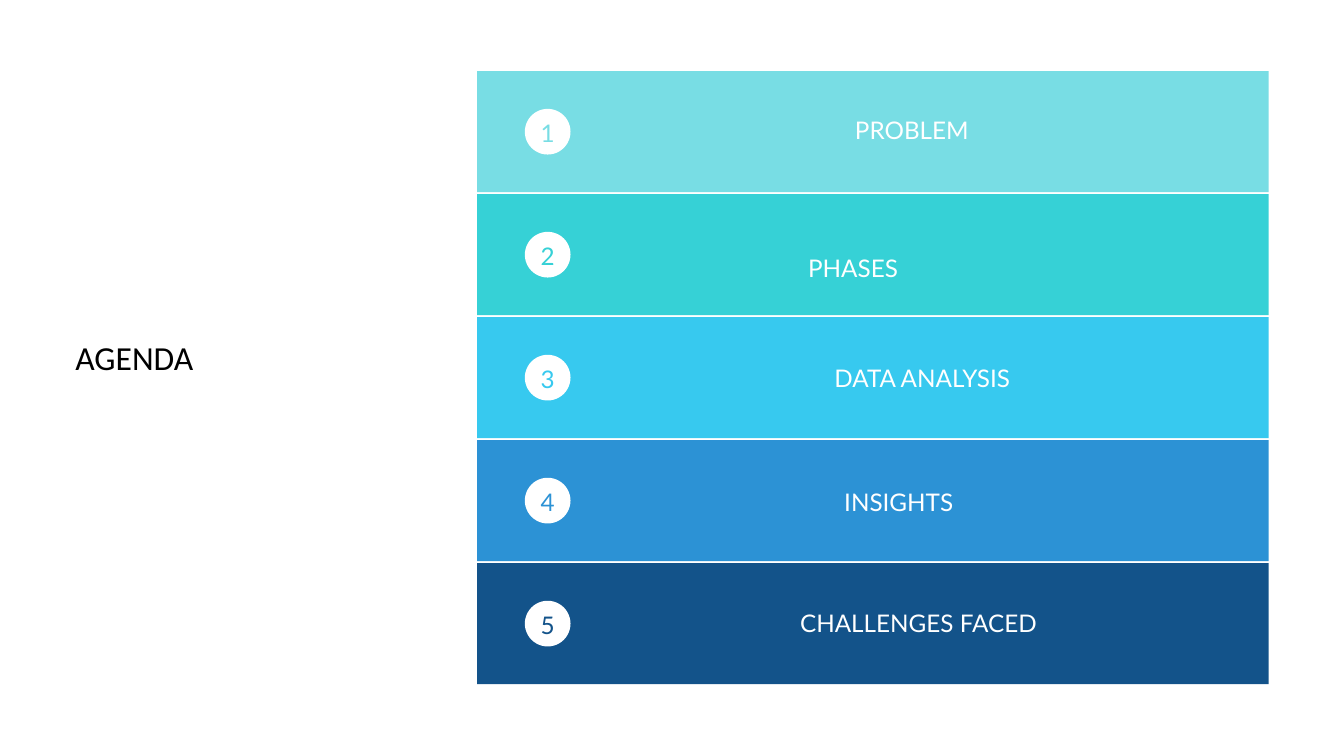
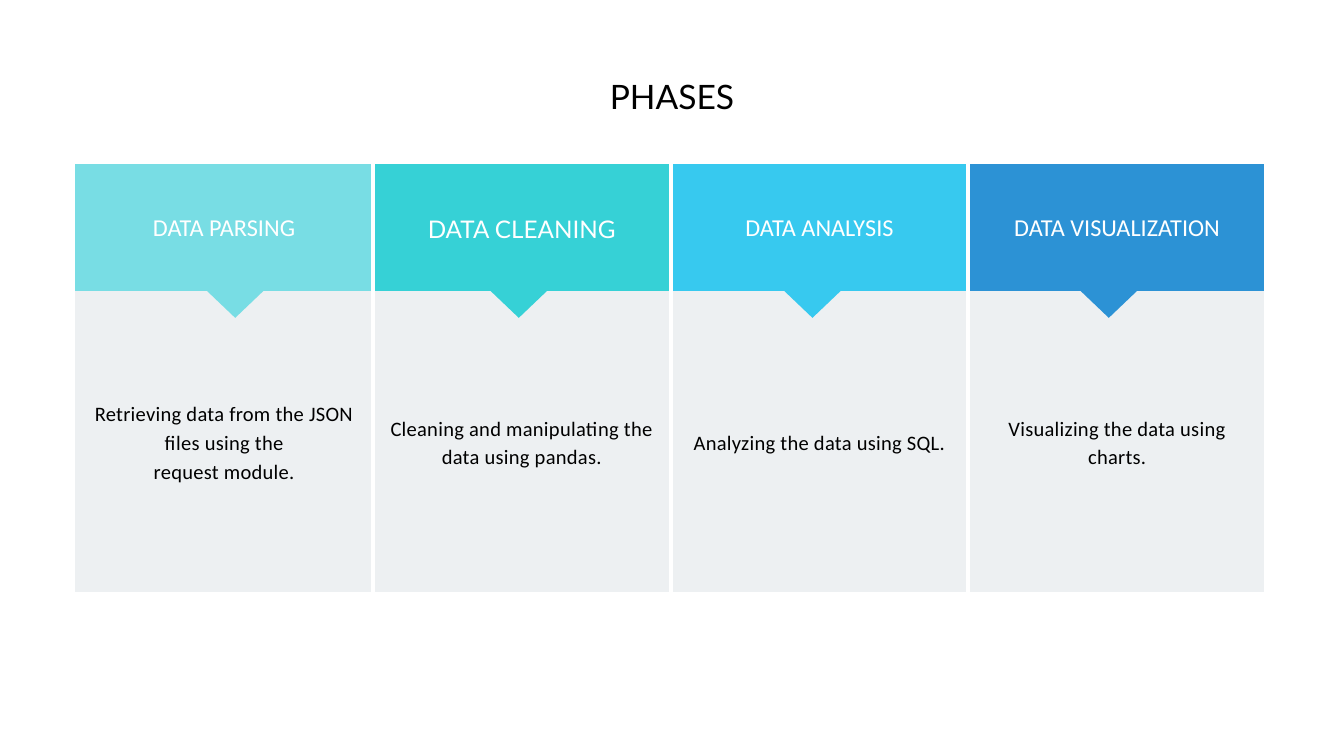
from dataclasses import dataclass

from lxml.etree import SubElement
from pptx import Presentation
from pptx.dml.color import RGBColor
from pptx.enum.shapes import MSO_SHAPE
from pptx.enum.text import MSO_ANCHOR, MSO_AUTO_SIZE, PP_ALIGN
from pptx.oxml.ns import qn
from pptx.util import Inches, Pt

WHITE = RGBColor(0xFF, 0xFF, 0xFF)
BLACK = RGBColor(0x00, 0x00, 0x00)
PALE_GREY = RGBColor(0xED, 0xF0, 0xF2)
AQUA = RGBColor(0x78, 0xDD, 0xE4)
TURQUOISE = RGBColor(0x36, 0xD1, 0xD6)
SKY = RGBColor(0x37, 0xC9, 0xEF)
BLUE = RGBColor(0x2C, 0x92, 0xD5)
NAVY = RGBColor(0x13, 0x53, 0x8A)

BAND_LEFT, BAND_TOP, BAND_PITCH = 7.1, 1.06, 1.83
BAND_WIDTH, BAND_HEIGHT = 11.78, 1.8
TABLE_LEFT, TABLE_TOP = 1.12, 2.44
COLUMN_WIDTH, ROW_HEIGHTS = 4.43, (1.89, 4.48)
DIVIDER = Pt(5.25)
CELL_INSET = Inches(0.21)


@dataclass(frozen=True)
class TextStyle:
    size: float
    spacing: float
    color: RGBColor
    font: str = "Lato"
    align: PP_ALIGN = PP_ALIGN.CENTER
    tracking: int = 0


@dataclass(frozen=True)
class AgendaItem:
    label: str
    color: RGBColor
    left: float
    top: float
    width: float
    indent: float = 0
    drop: float = 0


@dataclass(frozen=True)
class Phase:
    name: str
    color: RGBColor
    lines: tuple[str, ...]
    pointer_left: float
    font: str = "Calibri"


AGENDA = (
    AgendaItem("PROBLEM", AQUA, 9.12, 0.23, 7.15, indent=1.75),
    AgendaItem("PHASES", TURQUOISE, 11.01, 2.06, 3.37, drop=0.43),
    AgendaItem("DATA ANALYSIS", SKY, 10, 3.92, 5.61, indent=1.84),
    AgendaItem("INSIGHTS", BLUE, 11.69, 5.55, 3.37, drop=0.43),
    AgendaItem("CHALLENGES FACED", NAVY, 9.42, 7.56, 6.67, indent=1.83),
)
PHASES = (
    Phase("DATA PARSING", AQUA,
          ("Retrieving data from the JSON files using the", "request module."), 3.07),
    Phase("DATA CLEANING", TURQUOISE,
          ("Cleaning and manipulating the data using pandas.",), 7.29, "Lato"),
    Phase("DATA ANALYSIS", SKY, ("Analyzing the data using SQL.",), 11.66),
    Phase("DATA VISUALIZATION", BLUE, ("Visualizing the data using charts.",), 16.07),
)


def write(frame, lines, style: TextStyle) -> None:
    for index, line in enumerate(lines):
        para = frame.paragraphs[0] if index == 0 else frame.add_paragraph()
        para.alignment = style.align
        para.line_spacing = Pt(style.spacing)
        span = para.add_run()
        span.text = line
        for name, value in {"name": style.font, "size": Pt(style.size)}.items():
            setattr(span.font, name, value)
        span.font.color.rgb = style.color
        if style.tracking:
            span.font._element.set("spc", str(style.tracking))


def add_text(page, text: str, area, style: TextStyle, insets=(0, 0, 0, 0),
             anchor=MSO_ANCHOR.MIDDLE, auto_size=MSO_AUTO_SIZE.NONE) -> None:
    """Add a text box; insets run left, top, right, bottom, in inches."""
    frame = page.shapes.add_textbox(*map(Inches, area)).text_frame
    sides = ("margin_left", "margin_top", "margin_right", "margin_bottom")
    settings = dict(zip(sides, map(Inches, insets)))
    settings |= {"word_wrap": True, "auto_size": auto_size, "vertical_anchor": anchor}
    for name, value in settings.items():
        setattr(frame, name, value)
    write(frame, [text], style)


def add_title(page, text: str, area, font: str, align: PP_ALIGN) -> None:
    add_text(page, text, area, TextStyle(36, 46.8, BLACK, font, align),
             anchor=MSO_ANCHOR.TOP, auto_size=MSO_AUTO_SIZE.SHAPE_TO_FIT_TEXT)


def add_solid(page, kind: MSO_SHAPE, area, color: RGBColor):
    shape = page.shapes.add_shape(kind, *map(Inches, area))
    shape.shadow.inherit = False
    shape.fill.solid()
    shape.fill.fore_color.rgb = color
    shape.line.fill.background()
    return shape


def set_borders(cell, left: bool) -> None:
    """Draw white dividers at the sides and nothing above or below."""
    properties = cell._tc.get_or_add_tcPr()
    for tag, shown in {"lnL": left, "lnR": True, "lnT": False, "lnB": False}.items():
        line = SubElement(properties, qn(f"a:{tag}"), w=str(DIVIDER if shown else 0))
        if shown:
            fill = SubElement(line, qn("a:solidFill"))
            SubElement(fill, qn("a:srgbClr"), val=str(WHITE))
        else:
            SubElement(line, qn("a:noFill"))


def fill_cell(cell, lines, color: RGBColor, style: TextStyle, left: bool) -> None:
    set_borders(cell, left)
    for side in ("left", "top", "right", "bottom"):
        setattr(cell, f"margin_{side}", CELL_INSET)
    cell.vertical_anchor = MSO_ANCHOR.MIDDLE
    cell.fill.solid()
    cell.fill.fore_color.rgb = color
    write(cell.text_frame, lines, style)


def build_agenda(page) -> None:
    add_title(page, "AGENDA", (1.12, 4.96, 4.98, 0.63), "Calibri", PP_ALIGN.LEFT)
    for index, item in enumerate(AGENDA):
        top = BAND_TOP + index * BAND_PITCH
        add_solid(page, MSO_SHAPE.RECTANGLE,
                  (BAND_LEFT, top, BAND_WIDTH, BAND_HEIGHT), item.color)
        add_text(page, item.label, (item.left, item.top, item.width, 3.41),
                 TextStyle(26, 31.2, WHITE),
                 (0.28 + item.indent, 0.28 + item.drop, 0.28, 0.28))
        add_solid(page, MSO_SHAPE.OVAL, (7.81, top + 0.56, 0.68, 0.68), WHITE)
        add_text(page, str(index + 1), (7.87, top + 0.58, 0.56, 0.6),
                 TextStyle(26, 36.4, item.color))


def build_phases(page) -> None:
    table = page.shapes.add_table(
        len(ROW_HEIGHTS), len(PHASES), Inches(TABLE_LEFT), Inches(TABLE_TOP),
        Inches(COLUMN_WIDTH * len(PHASES)), Inches(sum(ROW_HEIGHTS))).table
    table.first_row = table.horz_banding = False
    for row, height in zip(table.rows, ROW_HEIGHTS):
        row.height = Inches(height)
    body = TextStyle(22, 30.8, BLACK, "Calibri", tracking=30)
    for index, phase in enumerate(PHASES):
        table.columns[index].width = Inches(COLUMN_WIDTH)
        heading = TextStyle(26, 33.8, WHITE, phase.font)
        fill_cell(table.cell(0, index), [phase.name], phase.color, heading, index > 0)
        fill_cell(table.cell(1, index), phase.lines, PALE_GREY, body, index > 0)
    for phase in PHASES:
        pointer = add_solid(page, MSO_SHAPE.ISOSCELES_TRIANGLE,
                            (phase.pointer_left, 4.32, 0.86, 0.41), phase.color)
        pointer.rotation = 180
    add_title(page, "PHASES", (3.5, 1.08, 13, 0.61), "Lato", PP_ALIGN.CENTER)


def main() -> None:
    deck = Presentation()
    deck.slide_width, deck.slide_height = Inches(20), Inches(11.25)
    for build in (build_agenda, build_phases):
        page = deck.slides.add_slide(deck.slide_layouts[6])
        page.background.fill.solid()
        page.background.fill.fore_color.rgb = WHITE
        build(page)
    deck.save("out.pptx")


if __name__ == "__main__":
    main()
